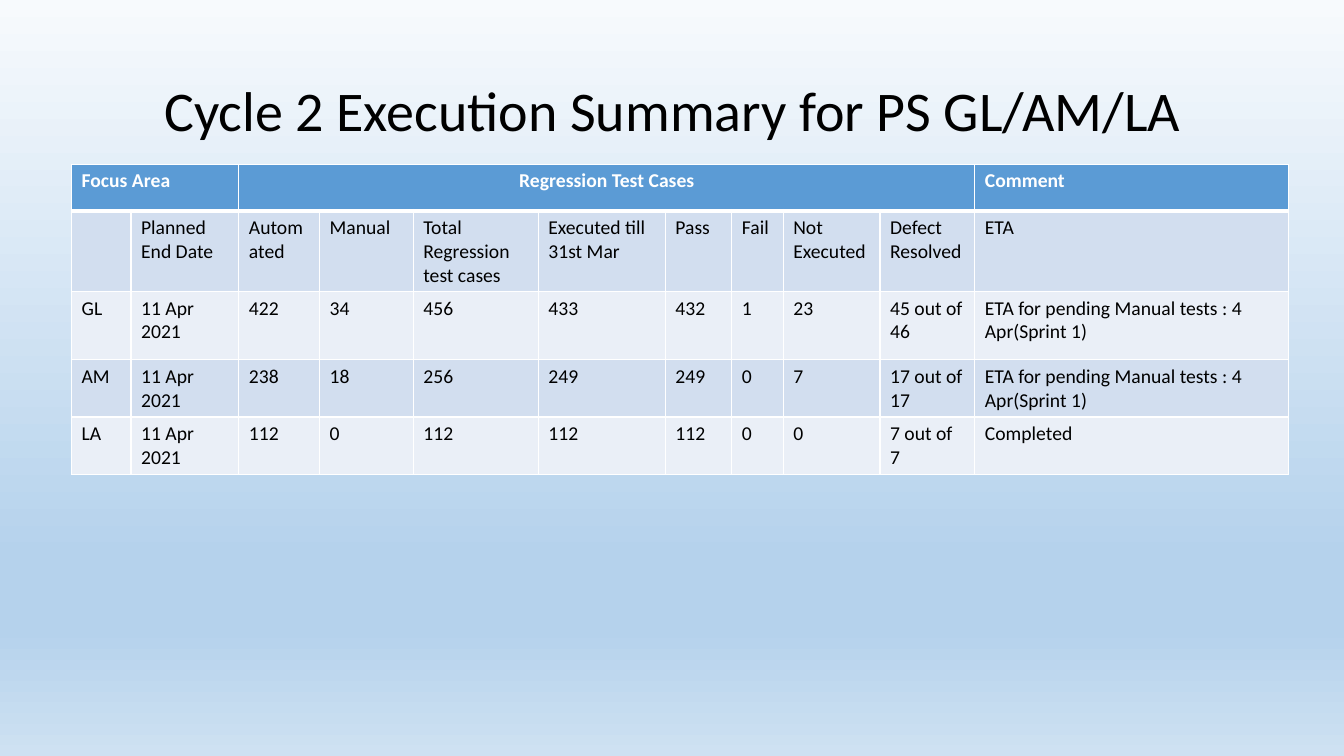
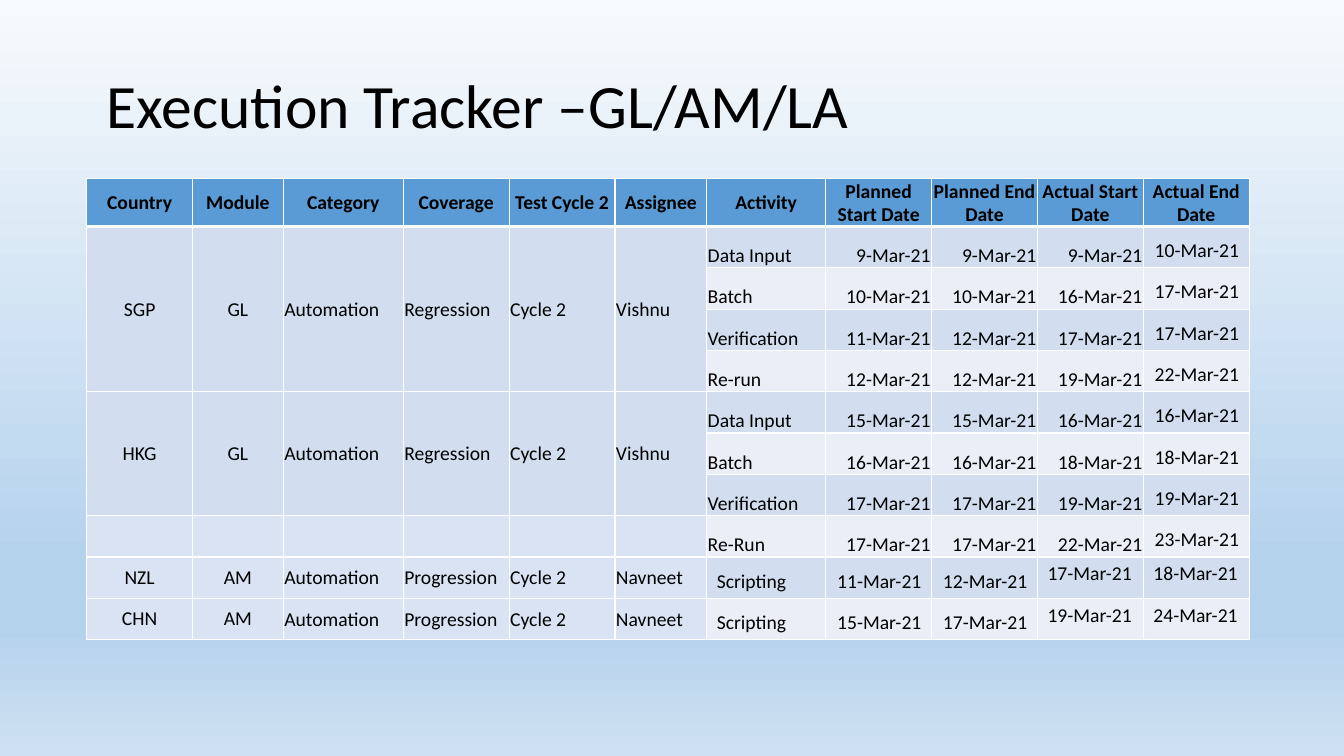
"""Build the two test execution slides: a cycle summary and a tracker."""
import dataclasses

import pptx
import pptx.dml.color
import pptx.enum.text
import pptx.oxml
import pptx.oxml.ns
import pptx.util

ALIGN = pptx.enum.text.PP_ALIGN
ANCHOR = pptx.enum.text.MSO_ANCHOR
INCH = pptx.util.Inches

SUMMARY = dict(
    title="Cycle 2 Execution Summary for PS GL/AM/LA",
    title_area=(0.92, 0.4, 11.5, 1.45),
    corner=(0.71, 1.63),
    columns=(0.59, 1.07, 0.8, 0.93, 1.24, 1.26, 0.66, 0.51, 0.96, 0.94, 3.11),
    heights=(0.46, 0.68, 0.68, 0.49, 0.49),
    rows=[
        ("Focus Area", "", "Regression Test Cases", "", "", "", "", "", "", "", "Comment"),
        ("", "Planned End Date", "Automated", "Manual", "Total Regression test cases",
         "Executed till 31st Mar", "Pass", "Fail", "Not Executed", "Defect Resolved", "ETA"),
        ("GL ", "11 Apr 2021", "422", "34", "456", "433", "432", "1", "23", "45 out of 46",
         "ETA for pending Manual tests : 4 Apr(Sprint 1)"),
        ("AM", "11 Apr 2021", "238", "18", "256", "249", "249", "0", "7", "17 out of 17",
         "ETA for pending Manual tests : 4 Apr(Sprint 1)"),
        ("LA", "11 Apr 2021", "112", "0", "112", "112", "112", "0", "0", "7 out of 7",
         "Completed"),
    ],
    merges=[(0, 0, 0, 1), (0, 2, 0, 9)],
)

SGP = ("SGP", "GL", "Automation", "Regression", "Cycle 2", "Vishnu")
HKG = ("HKG", "GL", "Automation", "Regression", "Cycle 2", "Vishnu")
NZL = ("NZL", "AM", "Automation", "Progression", "Cycle 2", "Navneet")
CHN = ("CHN", "AM", "Automation", "Progression", "Cycle 2", "Navneet")
OPEN = ("",) * len(SGP)
SCRIPTING = "Scripting"

TRACKER = dict(
    title="Execution Tracker –GL/AM/LA",
    title_area=(0.96, 0.56, 11.5, 1.03),
    corner=(0.86, 1.77),
    columns=(1.05, 0.9, 1.19, 1.05, 1.05, 0.91, 1.18) + (1.05,) * 4,
    heights=(0.41,) * 11,
    rows=[
        ("Country", "Module", "Category", "Coverage", "Test Cycle 2", "Assignee", "Activity",
         "Planned Start Date", "Planned End Date", "Actual Start Date", "Actual End Date"),
        SGP + ("Data Input", "9-Mar-21", "9-Mar-21", "9-Mar-21", "10-Mar-21"),
        OPEN + ("Batch ", "10-Mar-21", "10-Mar-21", "16-Mar-21", "17-Mar-21"),
        OPEN + ("Verification", "11-Mar-21", "12-Mar-21", "17-Mar-21", "17-Mar-21"),
        OPEN + ("Re-run", "12-Mar-21", "12-Mar-21", "19-Mar-21", "22-Mar-21"),
        HKG + ("Data Input", "15-Mar-21", "15-Mar-21", "16-Mar-21", "16-Mar-21"),
        OPEN + ("Batch ", "16-Mar-21", "16-Mar-21", "18-Mar-21", "18-Mar-21"),
        OPEN + ("Verification", "17-Mar-21", "17-Mar-21", "19-Mar-21", "19-Mar-21"),
        OPEN + ("Re-Run", "17-Mar-21", "17-Mar-21", "22-Mar-21", "23-Mar-21"),
        NZL + (SCRIPTING, "11-Mar-21 ", "12-Mar-21", "17-Mar-21", "18-Mar-21"),
        CHN + (SCRIPTING, "15-Mar-21 ", "17-Mar-21", "19-Mar-21", "24-Mar-21"),
    ],
    merges=[(top, column, bottom, column)
            for top, bottom in ((1, 4), (5, 7)) for column in range(len(SGP))],
)


@dataclasses.dataclass(frozen=True)
class Theme:
    """Colours, type sizes and insets shared by the slides."""
    font: str = "Calibri"
    ink: str = "000000"
    white: str = "FFFFFF"
    header: str = "5B9BD5"
    bands: tuple = ("EAEFF7", "D2DEEF")
    open_group: str = "DAE3F3"
    backdrop: tuple = ((0, "F7FAFD"), (74, "B5D2EC"), (83, "B5D2EC"), (100, "CEE1F2"))
    summary_title: int = 40
    tracker_title: int = 44
    body: int = 14
    thin: int = 1
    thick: int = 3
    roomy: tuple = (0.1, 0.05, 0.1, 0.05)
    tight: tuple = (0.01, 0.01, 0.01, 0)


THEME = Theme()


def colour(code):
    return pptx.dml.color.RGBColor.from_string(code)


def write(holder, text, size=THEME.body, bold=False, ink=THEME.ink, align=ALIGN.LEFT,
          anchor=ANCHOR.TOP, inset=THEME.roomy, spacing=None):
    """Put formatted text into a table cell or a text frame."""
    for side, length in zip(("left", "top", "right", "bottom"), inset):
        setattr(holder, f"margin_{side}", INCH(length))
    holder.vertical_anchor = anchor
    para = getattr(holder, "text_frame", holder).paragraphs[0]
    para.alignment = align
    para.line_spacing = spacing
    para.font.size = pptx.util.Pt(size)
    if text:
        span = para.add_run()
        span.text = text
        span.font.name = THEME.font
        span.font.size = pptx.util.Pt(size)
        span.font.bold = bold
        span.font.color.rgb = colour(ink)


def paint_backdrop(page):
    fill = page.background.fill
    fill.gradient()
    fill.gradient_angle = 270
    stops = next(page.element.iter(pptx.oxml.ns.qn("a:gsLst")))
    for stop in list(stops):
        stops.remove(stop)
    for share, code in THEME.backdrop:
        stops.append(pptx.oxml.parse_xml(
            f'<a:gs {pptx.oxml.ns.nsdecls("a")} pos="{share * 1000}">'
            f'<a:srgbClr val="{code}"/></a:gs>'))


def draw_borders(cell, row):
    widths = dict(L=THEME.thin, R=THEME.thin,
                  T=THEME.thick if row == 1 else THEME.thin,
                  B=THEME.thick if row == 0 else THEME.thin)
    properties = cell._tc.get_or_add_tcPr()
    for side, width in widths.items():
        properties.append(pptx.oxml.parse_xml(
            f'<a:ln{side} {pptx.oxml.ns.nsdecls("a")} w="{pptx.util.Pt(width)}">'
            f'<a:solidFill><a:srgbClr val="{THEME.white}"/></a:solidFill></a:ln{side}>'))


def band(row):
    return THEME.header if row == 0 else THEME.bands[row % 2]


def summary_style(row, column, values):
    style = dict(bold=row == 0, ink=THEME.ink if row else THEME.white)
    if (row, column) == (0, 2):
        style["align"] = ALIGN.CENTER
    return band(row), style


def tracker_style(row, column, values):
    grouped = column < len(SGP)
    scripting = SCRIPTING in values
    if row == 0:
        return band(row), dict(bold=True, align=ALIGN.CENTER, anchor=ANCHOR.MIDDLE,
                               inset=THEME.tight)
    if grouped:
        fill = THEME.bands[1] if row < 8 else THEME.open_group
        roomy = scripting and column < 2
        return fill, dict(align=ALIGN.CENTER if column < 2 else ALIGN.LEFT,
                          anchor=ANCHOR.MIDDLE,
                          inset=THEME.roomy if roomy else THEME.tight)
    if scripting and column > 8:
        return band(row), {}
    return band(row), dict(align=ALIGN.LEFT if column == 6 else ALIGN.RIGHT,
                           anchor=ANCHOR.BOTTOM,
                           inset=THEME.roomy if scripting or column == 10 else THEME.tight)


def add_page(deck, content, style_of, **title_style):
    page = deck.slides.add_slide(deck.slide_layouts[6])
    paint_backdrop(page)
    title = page.shapes.add_textbox(*map(INCH, content["title_area"])).text_frame
    title.word_wrap = True
    write(title, content["title"], anchor=ANCHOR.MIDDLE, spacing=0.9, **title_style)

    columns, heights = content["columns"], content["heights"]
    extent = (*content["corner"], sum(columns), sum(heights))
    table = page.shapes.add_table(len(heights), len(columns), *map(INCH, extent)).table
    table.horz_banding = table.first_row = False
    for column, width in zip(table.columns, columns):
        column.width = INCH(width)
    for row, height in zip(table.rows, heights):
        row.height = INCH(height)
    for row, values in enumerate(content["rows"]):
        for column, text in enumerate(values):
            cell = table.cell(row, column)
            fill, style = style_of(row, column, values)
            draw_borders(cell, row)
            cell.fill.solid()
            cell.fill.fore_color.rgb = colour(fill)
            write(cell, text, **style)
    for top, left, bottom, right in content["merges"]:
        table.cell(top, left).merge(table.cell(bottom, right))


deck = pptx.Presentation()
deck.slide_width, deck.slide_height = INCH(13.33), INCH(7.5)
add_page(deck, SUMMARY, summary_style, size=THEME.summary_title, align=ALIGN.CENTER)
add_page(deck, TRACKER, tracker_style, size=THEME.tracker_title)
deck.save("out.pptx")
